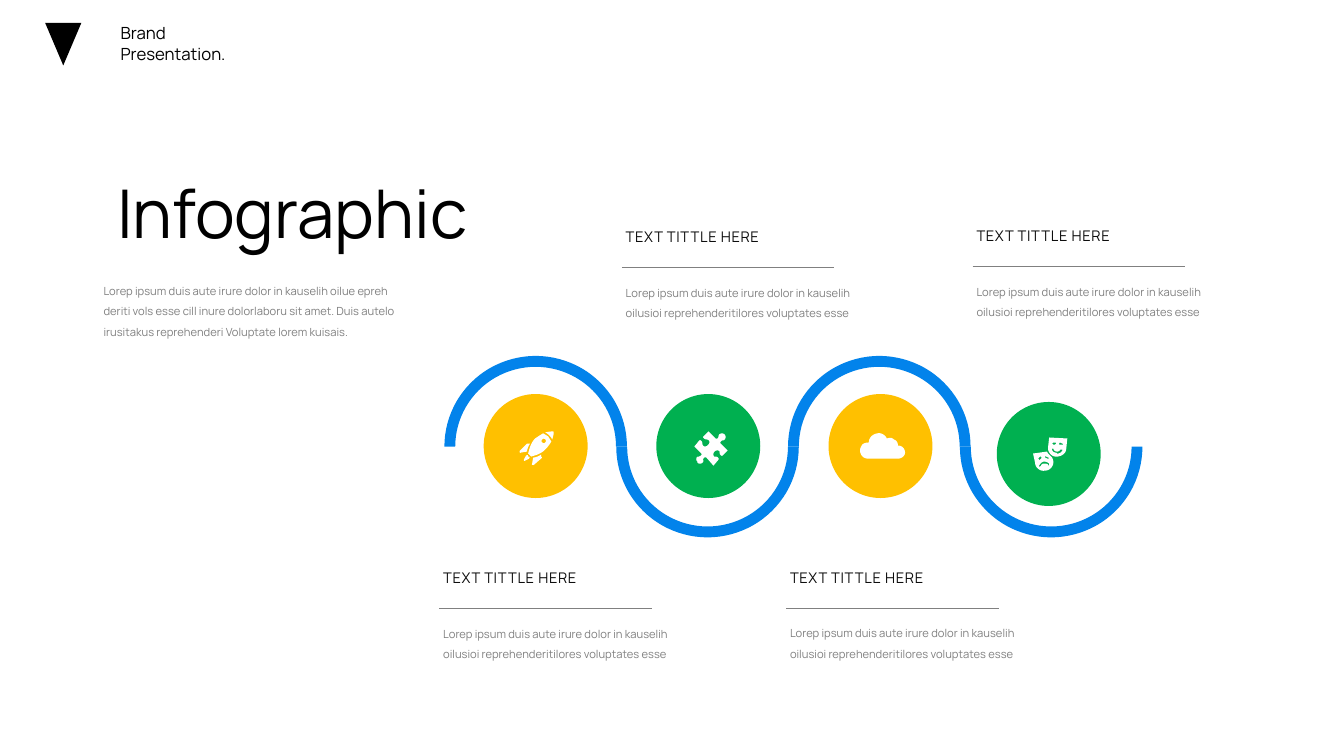
"""Build the infographic slide with a wave, four icon discs and four callouts."""
import dataclasses

import lxml.etree
import pptx
import pptx.dml.color
import pptx.enum.shapes
import pptx.enum.text
import pptx.oxml.ns
import pptx.util

FONT = "Manrope"
BLACK, INK, GREY, WHITE = "000000", "0D0D0D", "808080", "FFFFFF"
BLUE, AMBER, GREEN = "0283EB", "FFC000", "00B050"
SHAPES = pptx.enum.shapes.MSO_SHAPE
ICON_UNIT = 2.54 / 100
CURVE_STEPS = 8
DISC_SIZE = 2.62
WAVE_LEFT, WAVE_TOP, WAVE_PITCH = 11.2, 8.97, 4.33
WAVE_WIDTH, WAVE_HEIGHT = 4.6, 4.57
HEADING = "TEXT TITTLE HERE"
BODY = "Lorep ipsum duis aute irure dolor in kauselih oilusioi reprehenderitilores voluptates esse"
INTRO = (
    "Lorep ipsum duis aute irure dolor in kauselih oilue epreh\n"
    "deriti vols esse cill inure dolorlaboru sit amet. Duis autelo "
    "irusitakus reprehenderi Voluptate lorem kuisais."
)

ROCKET = (
    "M49 28 C48 28 45 28 41 29 C43 30 44 31 45 32 C46 33 47 34 48 36 C49 32 50 29 49 28",
    "M26 40 L24 40 C24 40 23 40 23 40 L16 47 C15 48 16 50 17 49 L23 48 C23 46 24 43 26 40",
    "M37 51 C34 53 31 54 29 54 L28 60 C27 61 29 62 30 61 L37 55 C38 54 38 54 37 53 L37 51",
    "M39 30 C37 31 34 33 31 35 C26 40 25 47 24 50 L27 53 C30 52 36 51 41 46 "
    "C44 43 46 40 47 38 C46 36 45 35 44 33 C42 32 41 31 39 30 "
    "M41 39 C40 40 39 40 38 39 C37 38 37 37 38 36 C39 35 40 35 41 36 C42 37 42 38 41 39",
    "M24 53 C24 52 24 51 22 52 C21 54 19 57 20 57 C20 58 23 56 25 55 C26 53 25 53 24 53",
)
PUZZLE = (
    "M30 53 C28 54 27 50 29 48 C31 46 35 47 34 49 C34 51 36 53 37 52 L42 47 L35 40 "
    "C34 39 36 37 37 37 C40 37 41 33 39 31 C37 29 33 30 33 33 C33 34 32 36 30 35 L23 28 "
    "L18 33 C17 34 19 36 21 36 C24 36 25 39 23 41 L22 42 C20 44 17 43 17 40 "
    "C17 38 15 36 14 37 L9 43 L16 50 C17 51 15 53 13 53 C11 53 10 56 12 58 L12 59 "
    "C14 61 18 60 18 57 C17 55 19 53 21 54 L28 62 L33 56 C34 55 32 53 30 53",
)
CLOUD = (
    "M91 42 C91 40 90 37 87 36 C85 34 83 34 80 35 C78 31 74 29 70 30 C65 31 62 35 62 39 "
    "C59 39 56 40 55 42 C53 45 53 48 54 50 C55 53 58 55 61 55 L91 55 "
    "C95 55 98 52 98 49 C98 45 95 42 91 42",
)
MASKS = (
    "M44 54 C43 53 42 52 41 51 C40 50 39 49 39 48 L25 50 L27 59 C27 64 32 68 37 67 "
    "C42 67 46 62 45 57 L44 54 "
    "M37 53 C37 53 38 52 38 53 L40 54 C41 54 41 55 40 55 L39 55 L37 54 L37 53 "
    "M30 55 L32 53 L33 53 C33 54 34 54 33 55 L32 56 L31 57 L31 56 L30 55 "
    "M41 62 C41 62 40 62 40 61 C39 60 37 60 36 60 C34 60 33 61 33 62 C32 63 32 63 32 63 "
    "L31 63 L31 62 C32 60 34 58 36 58 C38 58 40 59 41 60 L41 62",
    "M41 34 L40 43 C39 48 43 53 48 53 C53 53 58 50 58 45 L59 35 L41 34 "
    "M45 39 L47 39 C48 39 48 40 48 40 L47 41 L45 41 C44 40 44 40 44 40 L45 39 "
    "M54 47 C53 49 51 50 49 50 L48 49 C46 49 44 48 44 46 C43 46 44 45 44 45 L45 45 "
    "C46 47 47 48 49 48 C50 48 52 47 52 46 C53 46 53 46 54 46 L54 47 "
    "M54 41 L51 41 L51 40 C51 40 51 39 52 39 L54 40 C54 40 55 40 55 41 L54 41",
)


@dataclasses.dataclass(frozen=True)
class Disc:
    left: float
    top: float
    colour: str
    icon: tuple[str, ...]
    icon_left: float


@dataclasses.dataclass(frozen=True)
class Callout:
    left: float
    top: float


@dataclasses.dataclass(frozen=True)
class Style:
    size: float
    colour: str
    line_spacing: float = 1.0
    tracking: int = 0
    centred: bool = False


DISCS = (
    Disc(12.19, 9.93, AMBER, ROCKET, 12.7),
    Disc(16.54, 9.93, GREEN, PUZZLE, 17.27),
    Disc(20.88, 9.93, AMBER, CLOUD, 20.32),
    Disc(25.12, 10.13, GREEN, MASKS, 25.4),
)
ICON_TOP = 10.16
CALLOUTS = (Callout(10.92, 14.22), Callout(15.52, 5.61), Callout(19.66, 14.2), Callout(24.36, 5.59))
BODY_STYLE = Style(8, GREY, line_spacing=1.5)
HEADING_STYLE = Style(10.5, INK, tracking=50)


def rgb(colour: str) -> pptx.dml.color.RGBColor:
    return pptx.dml.color.RGBColor.from_string(colour)


def box(left: float, top: float, width: float, height: float) -> list[pptx.util.Cm]:
    return [pptx.util.Cm(length) for length in (left, top, width, height)]


def paint(shape, colour: str) -> None:
    shape.shadow.inherit = False
    shape.fill.solid()
    shape.fill.fore_color.rgb = rgb(colour)
    shape.line.fill.background()


def add_text(slide, text: str, frame: list[pptx.util.Cm], style: Style) -> None:
    text_frame = slide.shapes.add_textbox(*frame).text_frame
    text_frame.word_wrap = True
    text_frame.auto_size = pptx.enum.text.MSO_AUTO_SIZE.SHAPE_TO_FIT_TEXT
    text_frame.text = text
    for paragraph in text_frame.paragraphs:
        paragraph.line_spacing = style.line_spacing
        if style.centred:
            paragraph.alignment = pptx.enum.text.PP_ALIGN.CENTER
        for run in paragraph.runs:
            run.font.name = FONT
            run.font.size = pptx.util.Pt(style.size)
            run.font.color.rgb = rgb(style.colour)
            if style.tracking:
                run._r.get_or_add_rPr().set("spc", str(style.tracking))


def add_rule(slide, left: float, top: float, width: float) -> None:
    ends = box(left, top, left + width, top)
    rule = slide.shapes.add_connector(pptx.enum.shapes.MSO_CONNECTOR.STRAIGHT, *ends)
    rule.line.color.rgb = rgb(GREY)
    rule.line.width = pptx.util.Pt(0.5)
    lxml.etree.SubElement(rule._element.spPr, pptx.oxml.ns.qn("a:effectLst"))


def trace(contour: str) -> list[tuple[float, float]]:
    """Turn one contour of moves, lines and cubic curves into points."""
    points: list[tuple[float, float]] = []
    for command in contour.replace("C", "|C").replace("L", "|L").split("|"):
        numbers = [float(number) for number in command.strip("MLC ").split()]
        pairs = list(zip(numbers[::2], numbers[1::2]))
        if command.startswith("C"):
            controls = [points[-1], *pairs]
            for step in range(1, CURVE_STEPS + 1):
                t = step / CURVE_STEPS
                weights = ((1 - t) ** 3, 3 * t * (1 - t) ** 2, 3 * t * t * (1 - t), t**3)
                x, y = (sum(w * c[axis] for w, c in zip(weights, controls)) for axis in (0, 1))
                points.append((x, y))
        else:
            points.extend(pairs)
    return points


def add_outline(slide, outline: str, left: float, top: float) -> None:
    builder = None
    for contour in outline.split("M")[1:]:
        points = [
            (pptx.util.Cm(left + x * ICON_UNIT), pptx.util.Cm(top + y * ICON_UNIT))
            for x, y in trace(contour)
        ]
        if builder is None:
            builder = slide.shapes.build_freeform(*points[0])
        else:
            builder.move_to(*points[0])
        builder.add_line_segments(points[1:], close=True)
    paint(builder.convert_to_shape(), WHITE)


def add_disc(slide, disc: Disc) -> None:
    frame = box(disc.left, disc.top, DISC_SIZE, DISC_SIZE)
    paint(slide.shapes.add_shape(SHAPES.OVAL, *frame), disc.colour)
    for outline in disc.icon:
        add_outline(slide, outline, disc.icon_left, ICON_TOP)


def add_wave(slide) -> None:
    for index in range(len(DISCS)):
        frame = box(WAVE_LEFT + index * WAVE_PITCH, WAVE_TOP, WAVE_WIDTH, WAVE_HEIGHT)
        arc = slide.shapes.add_shape(SHAPES.BLOCK_ARC, *frame)
        arc.adjustments[2] = 0.06
        arc.rotation = 180 * (index % 2)
        paint(arc, BLUE)


def add_callout(slide, callout: Callout) -> None:
    left, top = callout.left, callout.top
    add_text(slide, HEADING, box(left, top, 4.04, 0.74), HEADING_STYLE)
    add_rule(slide, left + 0.15, top + 1.12, 5.36)
    add_text(slide, BODY, box(left, top + 1.3, 6.27, 1.75), BODY_STYLE)


def main() -> None:
    presentation = pptx.Presentation()
    presentation.slide_width, presentation.slide_height = pptx.util.Cm(33.87), pptx.util.Cm(19.05)
    slide = presentation.slides.add_slide(presentation.slide_layouts[6])
    paint(slide.shapes.add_shape(SHAPES.FLOWCHART_MERGE, *box(1.14, 0.58, 0.91, 1.07)), BLACK)
    add_text(slide, "Brand\nPresentation.", box(2.79, 0.46, 3.33, 1.27), Style(12, BLACK))
    add_text(slide, "Infographic", box(1.83, 4.19, 11.07, 2.31), Style(48, BLACK, centred=True))
    add_text(slide, INTRO, box(2.36, 6.88, 8.76, 1.75), BODY_STYLE)
    add_wave(slide)
    for disc in DISCS:
        add_disc(slide, disc)
    for callout in CALLOUTS:
        add_callout(slide, callout)
    presentation.save("out.pptx")


if __name__ == "__main__":
    main()
